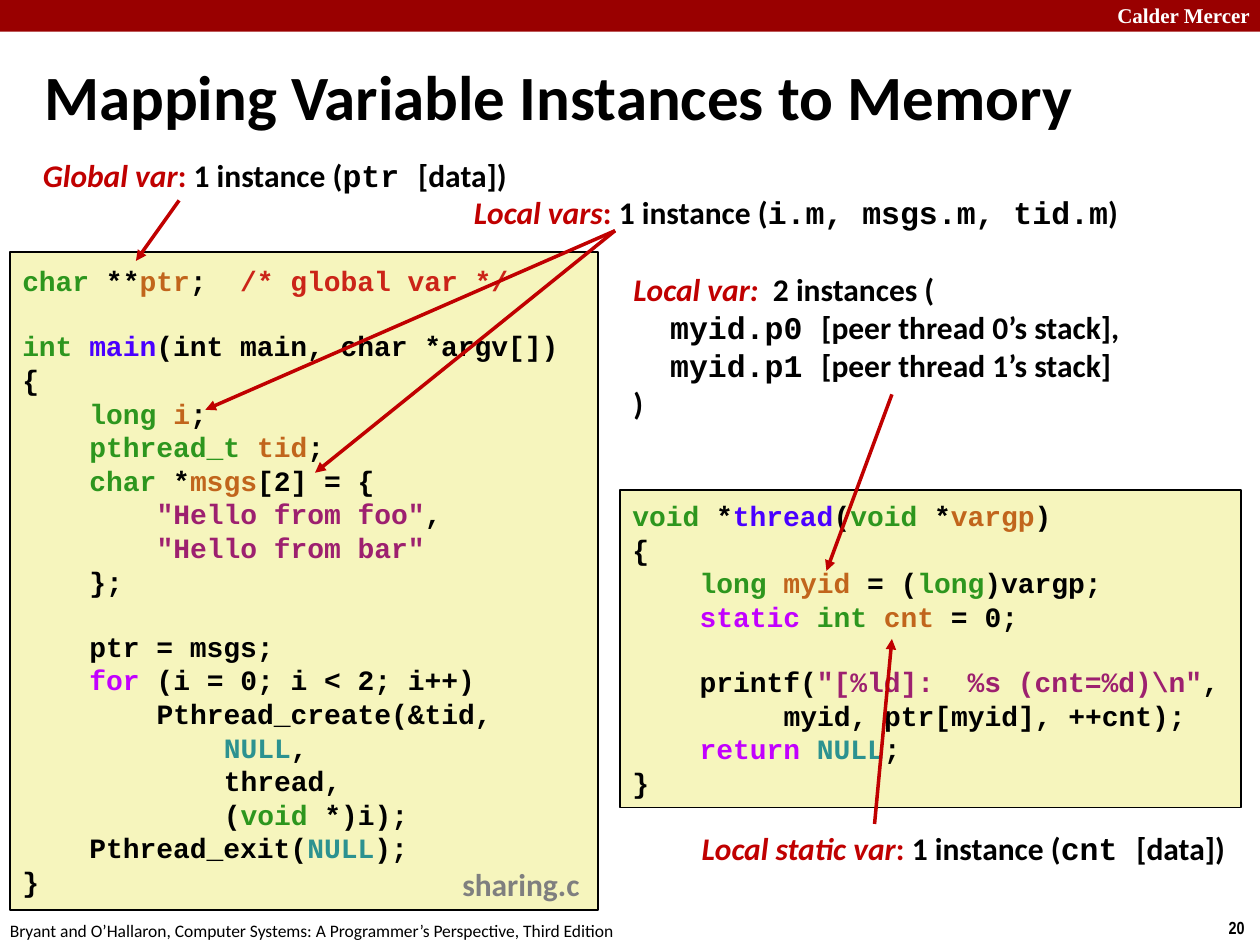
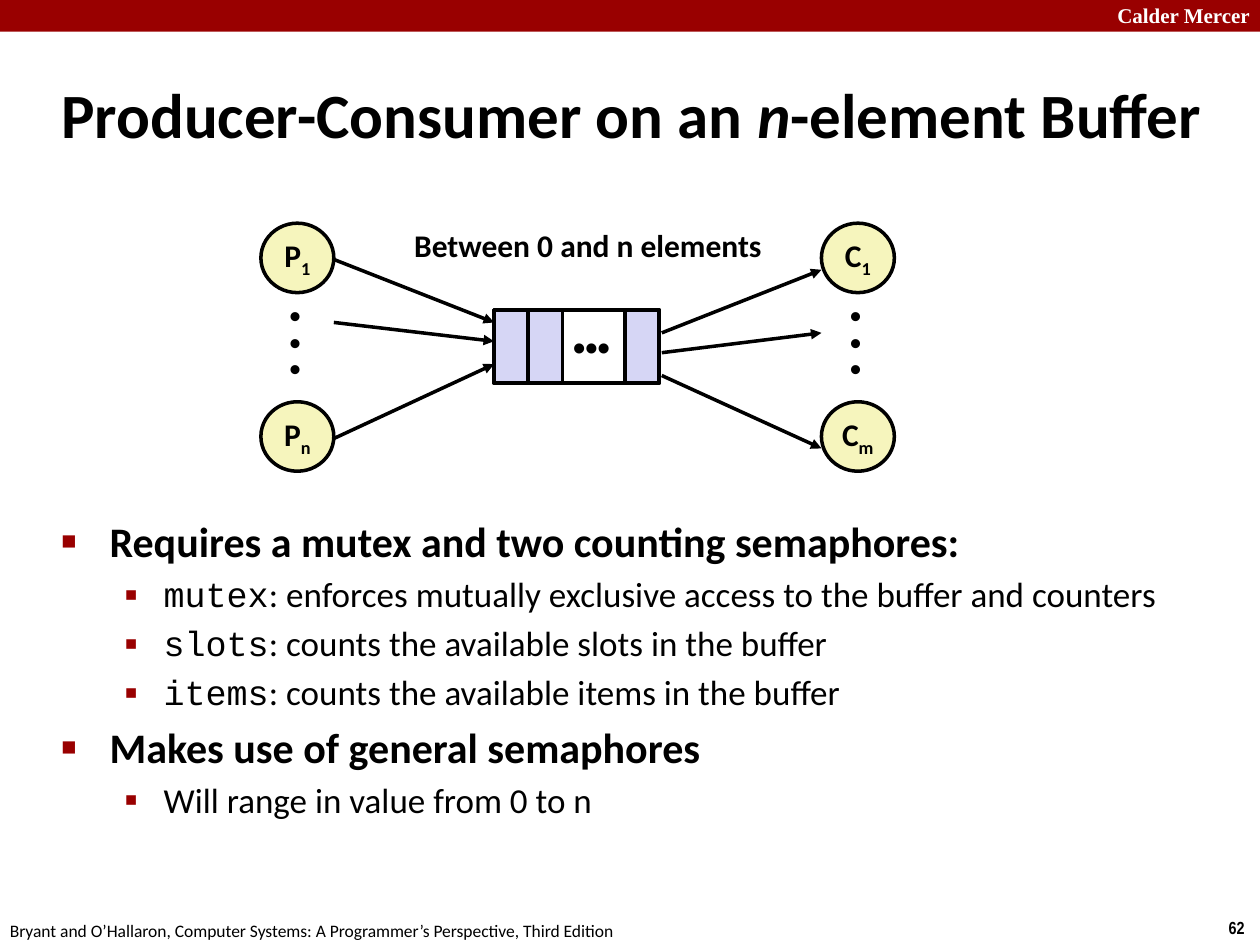
from collections import namedtuple
from dataclasses import dataclass

from lxml import etree
from pptx import Presentation
from pptx import util as u
from pptx.dml.color import RGBColor
from pptx.enum import shapes, text
from pptx.oxml import ns

Box = namedtuple("Box", "x y w h")  # all in centimetres


@dataclass(frozen=True)
class Look:
    size: float
    font: str = "Calibri"
    bold: bool = True
    color: str = "000000"


class Theme:
    band, black, cream, lilac, accent = "990000", "000000", "F6F5BD", "D6D6F5", "C00000"
    title = Look(36)
    brand = Look(12, "Times New Roman", color="FFFFFF")
    page = Look(10, "Arial Narrow")
    source = Look(10, bold=False)
    code = Look(16, "Courier New")
    file_name = Look(18, color="7F7F7F")
    label = Look(18)
    dots = Look(18, "Arial")
    buffer_dots = Look(20, "Arial")
    topic = Look(24)
    detail = Look(20, bold=False)
    # Inline styles, used in text as |style:words|
    styles = {
        "type": {"color": "2D961E"}, "var": {"color": "C1651C"},
        "func": {"color": "4A00FF"}, "word": {"color": "C200FF"},
        "str": {"color": "9D206F"}, "const": {"color": "2C9290"},
        "note": {"color": "CB2418"}, "mark": {"color": accent},
        "name": {"color": accent, "italic": True}, "it": {"italic": True},
        "mono": {"font": "Courier New"}, "sub": {"baseline": "-25000"},
    }


SLIDE = Box(0, 0, 25.4, 19.05)
LEFT, CENTER, RIGHT = text.PP_ALIGN.LEFT, text.PP_ALIGN.CENTER, text.PP_ALIGN.RIGHT

MAIN_CODE = r'''|type:char| **|var:ptr|;  |note:/* global var */|

|type:int ||func:main|(int main, char *argv[])
{
    |type:long ||var:i|;
    |type:pthread_t ||var:tid|;
    |type:char| *|var:msgs|[2] = {
        |str:"Hello from foo"|,
        |str:"Hello from bar"|
    };

    ptr = msgs;
    |word:for| (i = 0; i < 2; i++)
        Pthread_create(&tid,
            |const:NULL|,
            thread,
            (|type:void| *)i);
    Pthread_exit(|const:NULL|);
}'''

THREAD_CODE = r'''|type:void| *|func:thread|(|type:void| *|var:vargp|)
{
    |type:long ||var:myid| = (|type:long|)vargp;
    |word:static ||type:int ||var:cnt| = 0;

    printf(|str:"[%ld]:  %s (cnt=%d)\n"|,
         myid, ptr[myid], ++cnt);
    |word:return ||const:NULL|;
}'''


# --- Text ---
def write(paragraph, markup, look):
    for i, piece in enumerate(markup.split("|")):
        style = {}
        if i % 2:
            key, _, piece = piece.partition(":")
            style = Theme.styles[key]
        if not piece:
            continue
        run = paragraph.add_run()
        run.text = piece
        run.font.size = u.Pt(look.size)
        run.font.bold = look.bold
        run.font.italic = style.get("italic", False)
        run.font.name = style.get("font", look.font)
        run.font.color.rgb = RGBColor.from_string(style.get("color", look.color))
        if "baseline" in style:
            run._r.get_or_add_rPr().set("baseline", style["baseline"])


def write_lines(frame, lines, look, align=LEFT, spacing=None):
    for i, line in enumerate(lines):
        paragraph = frame.add_paragraph() if i else frame.paragraphs[0]
        paragraph.alignment = align
        if spacing:
            paragraph.line_spacing = spacing
        write(paragraph, line, look)


def indent(paragraph, left, first=0):
    props = paragraph._p.get_or_add_pPr()
    props.set("marL", str(int(left)))
    props.set("indent", str(int(first)))
    return props


def set_frame(frame, wrap=True, anchor=text.MSO_ANCHOR.TOP, side=0.25, edge=0.13):
    frame.word_wrap = wrap
    frame.auto_size = text.MSO_AUTO_SIZE.NONE
    frame.vertical_anchor = anchor
    frame.margin_left = frame.margin_right = u.Cm(side)
    frame.margin_top = frame.margin_bottom = u.Cm(edge)


def add_text(parts, box, lines, look, align=LEFT, spacing=None, **frame_options):
    frame = parts.add_textbox(*map(u.Cm, box)).text_frame
    set_frame(frame, **frame_options)
    write_lines(frame, lines, look, align, spacing)
    return frame


# --- Shapes and arrows ---
def add_block(parts, kind, box, fill=None, line=Theme.black, width=2):
    block = parts.add_shape(kind, *map(u.Cm, box))
    block.shadow.inherit = False
    if fill:
        block.fill.solid()
        block.fill.fore_color.rgb = RGBColor.from_string(fill)
    else:
        block.fill.background()
    if line:
        block.line.color.rgb = RGBColor.from_string(line)
        block.line.width = u.Pt(width)
    else:
        block.line.fill.background()
    return block


def add_arrow(parts, start, end, color):
    arrow = parts.add_connector(shapes.MSO_CONNECTOR.STRAIGHT, *map(u.Cm, (*start, *end)))
    arrow.line.color.rgb = RGBColor.from_string(color)
    arrow.line.width = u.Pt(2)
    etree.SubElement(arrow.line._get_or_add_ln(), ns.qn("a:tailEnd"), type="triangle")
    etree.SubElement(arrow._element.spPr, ns.qn("a:effectLst"))


# --- Shared slide frame ---
def new_slide(deck, title, title_box, page):
    slide = deck.slides.add_slide(deck.slide_layouts[5])
    parts = slide.shapes
    heading = parts.title
    heading.left, heading.top, heading.width, heading.height = map(u.Cm, title_box)
    set_frame(heading.text_frame, anchor=text.MSO_ANCHOR.MIDDLE)
    write_lines(heading.text_frame, [title], Theme.title)

    add_block(parts, shapes.MSO_SHAPE.RECTANGLE, Box(0, 0, SLIDE.w, 0.64), Theme.band, None)
    add_text(parts, Box(SLIDE.w - 4, -0.08, 4, 0.76), ["Calder Mercer"], Theme.brand,
             RIGHT, side=0.2)
    add_text(parts, Box(24.77, 18.36, 0.63, 0.69), [page], Theme.page, side=0)
    add_text(parts, Box(-0.05, 18.42, 14, 0.63),
             ["Bryant and O’Hallaron, Computer Systems: A Programmer’s Perspective, "
              "Third Edition"], Theme.source)
    return slide


# --- Memory mapping slide ---
def add_code(parts, box, listing):
    panel = add_block(parts, shapes.MSO_SHAPE.RECTANGLE, box, Theme.cream, width=1)
    frame = panel.text_frame
    set_frame(frame, anchor=text.MSO_ANCHOR.MIDDLE)
    lines = listing.split("\n")
    visible = [line for line in lines if line]
    write_lines(frame, [line.lstrip() for line in visible], Theme.code)
    char_width = u.Pt(Theme.code.size * 0.6)
    for paragraph, line in zip(frame.paragraphs, visible):
        indent(paragraph, char_width * (len(line) - len(line.lstrip())))
        row = lines.index(line)
        if row and not lines[row - 1]:
            paragraph.space_before = u.Pt(18.1)


def add_callout(parts, box, lines, align=CENTER):
    return add_text(parts, box, lines, Theme.label, align, wrap=align == LEFT,
                    anchor=text.MSO_ANCHOR.MIDDLE, edge=0)


def build_mapping_slide(deck):
    parts = new_slide(deck, "Mapping Variable Instances to Memory",
                      Box(0.64, 0.84, 24.76, 2.16), "20").shapes
    main_box = Box(0.2, 5.08, 11.86, 13.26)
    add_code(parts, main_box, MAIN_CODE)
    add_code(parts, Box(12.5, 9.88, 12.52, 6.4), THREAD_CODE)
    add_text(parts, Box(main_box.x + 8.87, main_box.y + 12.22, 2.95, 1.02),
             ["sharing.c"], Theme.file_name)

    # Callouts
    add_callout(parts, Box(0.56, 3.15, 9.96, 0.76),
                ["|name:Global var||mark:: |1 instance (|mono:ptr |[data])"])
    add_callout(parts, Box(13.82, 16.71, 11.2, 0.76),
                ["|name:Local static var||mark:: |1 instance (|mono:cnt |[data])"])
    add_callout(parts, Box(9.25, 3.89, 13.59, 0.76),
                ["|name:Local vars||mark:: |1 instance (|mono:i.m, msgs.m, tid.m|)"])
    peers = add_callout(parts, Box(12.52, 5.44, 10.74, 3.07),
                        ["|name:Local var:  |2 instances (",
                         "|mono:myid.p0 |[peer thread 0’s stack],",
                         "|mono:myid.p1 |[peer thread 1’s stack]", ")"], LEFT)
    for paragraph in peers.paragraphs[1:3]:
        indent(paragraph, u.Cm(0.74))

    # Arrows from callouts to code
    for start, *ends in [((3.61, 4.04), (2.74, 5.26)),
                         ((17.63, 16.61), (17.98, 12.88)),
                         ((12.4, 4.65), (4.14, 8.26), (6.35, 9.53)),
                         ((17.98, 7.95), (16.66, 11.51))]:
        for end in ends:
            add_arrow(parts, start, end, Theme.accent)


# --- Producer-consumer slide ---
def add_diagram(slide, box):
    parts = slide.shapes.add_group_shape().shapes

    def inside(x, y, w, h):
        return Box(box.x + x, box.y + y, w, h)

    # Producers and consumers
    for x, names in [(0, ("P|sub:1|", "P|sub:n|")), (11.3, ("C|sub:1|", "C|sub:m|"))]:
        for y, name in zip((0.08, 3.68), names):
            node = add_block(parts, shapes.MSO_SHAPE.OVAL, inside(x, y, 1.47, 1.4), Theme.cream)
            set_frame(node.text_frame, wrap=False, anchor=text.MSO_ANCHOR.MIDDLE, edge=0)
            write_lines(node.text_frame, [name], Theme.label, CENTER)
        add_text(parts, inside(x + 0.33, 1.63, 0.81, 1.9), ["•"] * 3, Theme.dots, spacing=0.7)

    # Arrows into and out of the buffer
    for xs, heights in [((1.47, 4.7), [(0.81, 2.08), (2.08, 2.46), (4.42, 2.92)]),
                        ((8.08, 11.3), [(2.29, 1.02), (2.69, 2.29), (3.15, 4.62)])]:
        for ys in heights:
            start, end = ((box.x + x, box.y + y) for x, y in zip(xs, ys))
            add_arrow(parts, start, end, Theme.black)

    # Buffer
    cell = 0.69
    for x in (0, cell, 2.64):
        add_block(parts, shapes.MSO_SHAPE.RECTANGLE, inside(4.7 + x, 1.83, cell, 1.47),
                  Theme.lilac)
    add_text(parts, inside(5.38, 2.24, 2.57, 0.89), ["•••"], Theme.buffer_dots, CENTER, 0.7)
    add_block(parts, shapes.MSO_SHAPE.RECTANGLE, inside(4.7, 1.83, 2.64 + cell, 1.47))
    add_text(parts, inside(2.84, 0, 7.62, 1.02), ["Between 0 and n elements"], Theme.label)


def add_bullets(slide, box, items):
    frame = slide.shapes.add_textbox(*map(u.Cm, box)).text_frame
    set_frame(frame)
    levels = [(Theme.topic, 0.97, 0.97, "■", 60), (Theme.detail, 2.06, 0.79, "▪", 110)]
    for i, (level, line) in enumerate(items):
        look, left, hang, symbol, percent = levels[level]
        paragraph = frame.add_paragraph() if i else frame.paragraphs[0]
        paragraph.level = level
        paragraph.space_before = u.Pt(look.size * 0.2)
        write(paragraph, line, look)
        props = indent(paragraph, u.Cm(left), -u.Cm(hang))
        color = etree.SubElement(props, ns.qn("a:buClr"))
        etree.SubElement(color, ns.qn("a:srgbClr"), val=Theme.band)
        etree.SubElement(props, ns.qn("a:buSzPct"), val=str(percent * 1000))
        etree.SubElement(props, ns.qn("a:buFont"), typeface="Arial")
        etree.SubElement(props, ns.qn("a:buChar"), char=symbol)


def build_buffer_slide(deck):
    slide = new_slide(deck, "Producer-Consumer on an |it:n|-element Buffer",
                      Box(0.99, 1.22, 23.77, 2.11), "62")
    add_diagram(slide, Box(5.26, 4.42, 12.77, 5.08))
    add_bullets(slide, Box(0.99, 10.26, 22.81, 6.5), [
        (0, "Requires a mutex and two counting semaphores:"),
        (1, "|mono:mutex|: enforces mutually exclusive access to the buffer and counters"),
        (1, "|mono:slots|: counts the available slots in the buffer"),
        (1, "|mono:items|: counts the available items in the buffer"),
        (0, "Makes use of general semaphores"),
        (1, "Will range in value from 0 to n"),
    ])


def main():
    deck = Presentation()
    deck.slide_width, deck.slide_height = u.Cm(SLIDE.w), u.Cm(SLIDE.h)
    build_mapping_slide(deck)
    build_buffer_slide(deck)
    deck.save("out.pptx")


if __name__ == "__main__":
    main()
